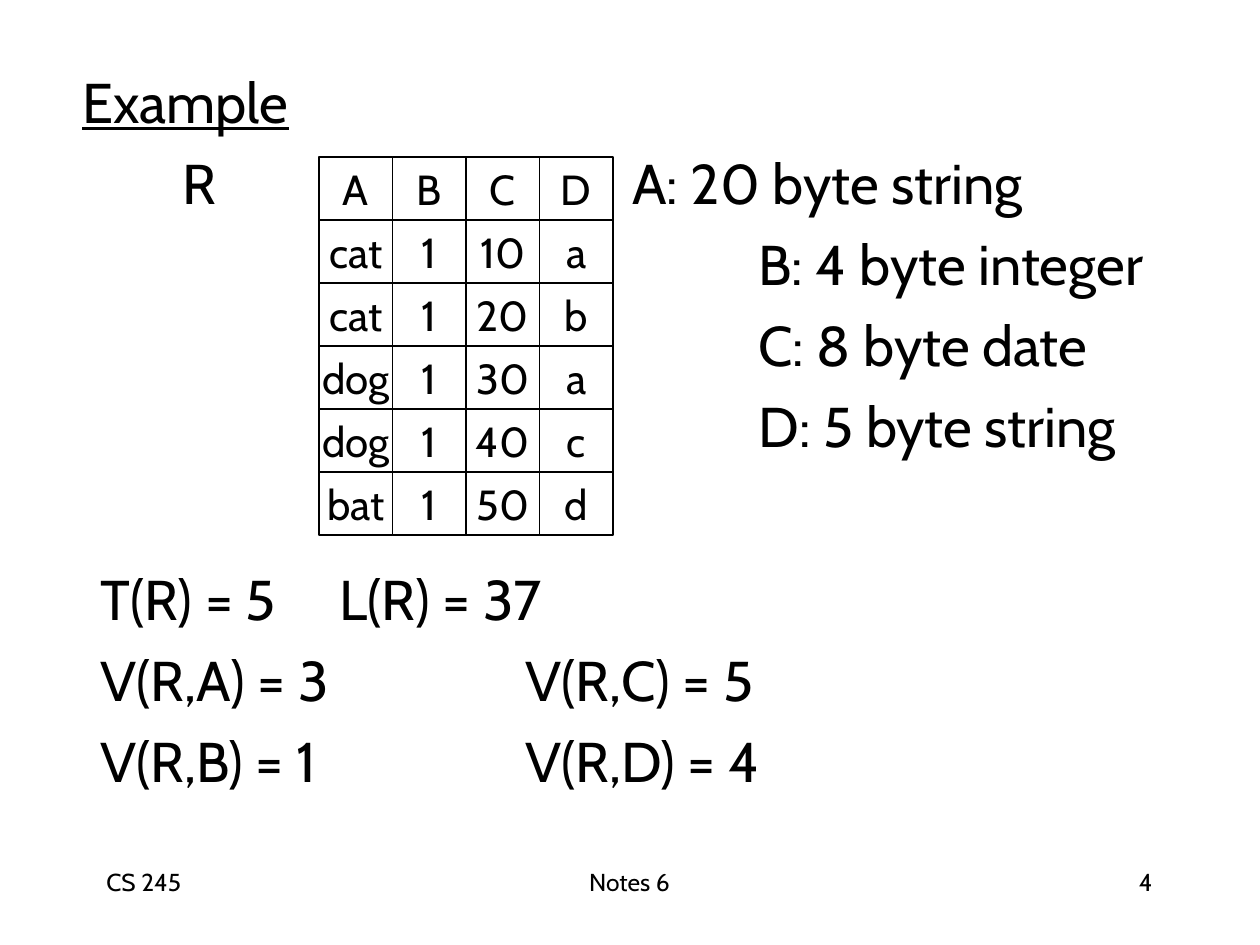
from dataclasses import dataclass

from lxml.etree import SubElement
from pptx import Presentation
from pptx.dml.color import RGBColor
from pptx.enum.shapes import MSO_SHAPE as Shape
from pptx.enum.text import MSO_ANCHOR as Anchor, PP_ALIGN as Align
from pptx.oxml.ns import qn
from pptx.util import Emu, Pt


@dataclass(frozen=True)
class Theme:
    font: str = "Cabin"
    ink: RGBColor = RGBColor(0, 0, 0)
    paper: RGBColor = RGBColor(255, 255, 255)
    body: int = 32
    cell: int = 24
    footer: int = 14
    space: int = 8
    border: float = 0.75


THEME = Theme()
DPI = 126

RELATION = ["A B C D", "cat 1 10 a", "cat 1 20 b",
            "dog 1 30 a", "dog 1 40 c", "bat 1 50 d"]


def px(n):
    return Emu(round(n * 914400 / DPI))


def add_run(p, text, size, underline=False):
    r = p.add_run()
    r.text = text
    r.font.name = THEME.font
    r.font.size = Pt(size)
    r.font.color.rgb = THEME.ink
    if underline:
        r.font.underline = True


def add_tabs(p, stops):
    """Left tab stops, measured in px from the text edge."""
    if stops:
        tabs = SubElement(p._p.get_or_add_pPr(), qn("a:tabLst"))
        for stop in stops:
            SubElement(tabs, qn("a:tab"), pos=str(px(stop)), algn="l")


def add_text(slide, box, lines, size, align=Align.LEFT, space=0):
    """Each line is (text, tab stops, underlined)."""
    tf = slide.shapes.add_textbox(*map(px, box)).text_frame
    tf.word_wrap = True
    for i, (text, stops, underline) in enumerate(lines):
        p = tf.paragraphs[0] if i == 0 else tf.add_paragraph()
        p.alignment = align
        p.space_before = Pt(space)
        add_tabs(p, stops)
        add_run(p, text, size, underline)


def add_cell(slide, box, text):
    sp = slide.shapes.add_shape(Shape.RECTANGLE, *map(px, box))
    sp.shadow.inherit = False
    sp.fill.solid()
    sp.fill.fore_color.rgb = THEME.paper
    sp.line.color.rgb = THEME.ink
    sp.line.width = Pt(THEME.border)
    tf = sp.text_frame
    tf.word_wrap = False
    tf.vertical_anchor = Anchor.MIDDLE
    p = tf.paragraphs[0]
    p.alignment = Align.CENTER
    add_run(p, text, THEME.cell)


def add_grid(slide, box, rows):
    left, top, width, height = box
    cell_h = height / len(rows)
    for i, row in enumerate(rows):
        values = row.split()
        cell_w = width / len(values)
        for j, text in enumerate(values):
            add_cell(slide, (left + j * cell_w, top + i * cell_h,
                             cell_w, cell_h), text)


def main():
    prs = Presentation()
    prs.slide_width, prs.slide_height = px(1260), px(945)
    slide = prs.slides.add_slide(prs.slide_layouts[6])

    # Footer
    for left, width, text, align in ((94, 262, "CS 245", Align.LEFT),
                                     (430, 399, "Notes 6", Align.CENTER),
                                     (903, 262, "4", Align.RIGHT)):
        add_text(slide, (left, 861, width, 63), [(text, (), False)],
                 THEME.footer, align)

    # Heading and attribute types
    add_text(slide, (70, 61, 1113, 505), [
        ("Example", (), True),
        ("\tR\tA: 20 byte string", (100, 550), False),
        ("\tB: 4 byte integer", (676,), False),
        ("\tC: 8 byte date", (676,), False),
        ("\tD: 5 byte string", (676,), False),
    ], THEME.body, space=THEME.space)

    # Relation R
    add_grid(slide, (319, 157, 294, 378), RELATION)

    # Statistics
    add_text(slide, (88, 558, 1071, 268), [
        ("T(R) = 5\tL(R) = 37", (239,), False),
        ("V(R,A) = 3\tV(R,C) = 5", (425,), False),
        ("V(R,B) = 1\tV(R,D) = 4", (425,), False),
    ], THEME.body, space=THEME.space)

    prs.save("out.pptx")


if __name__ == "__main__":
    main()
